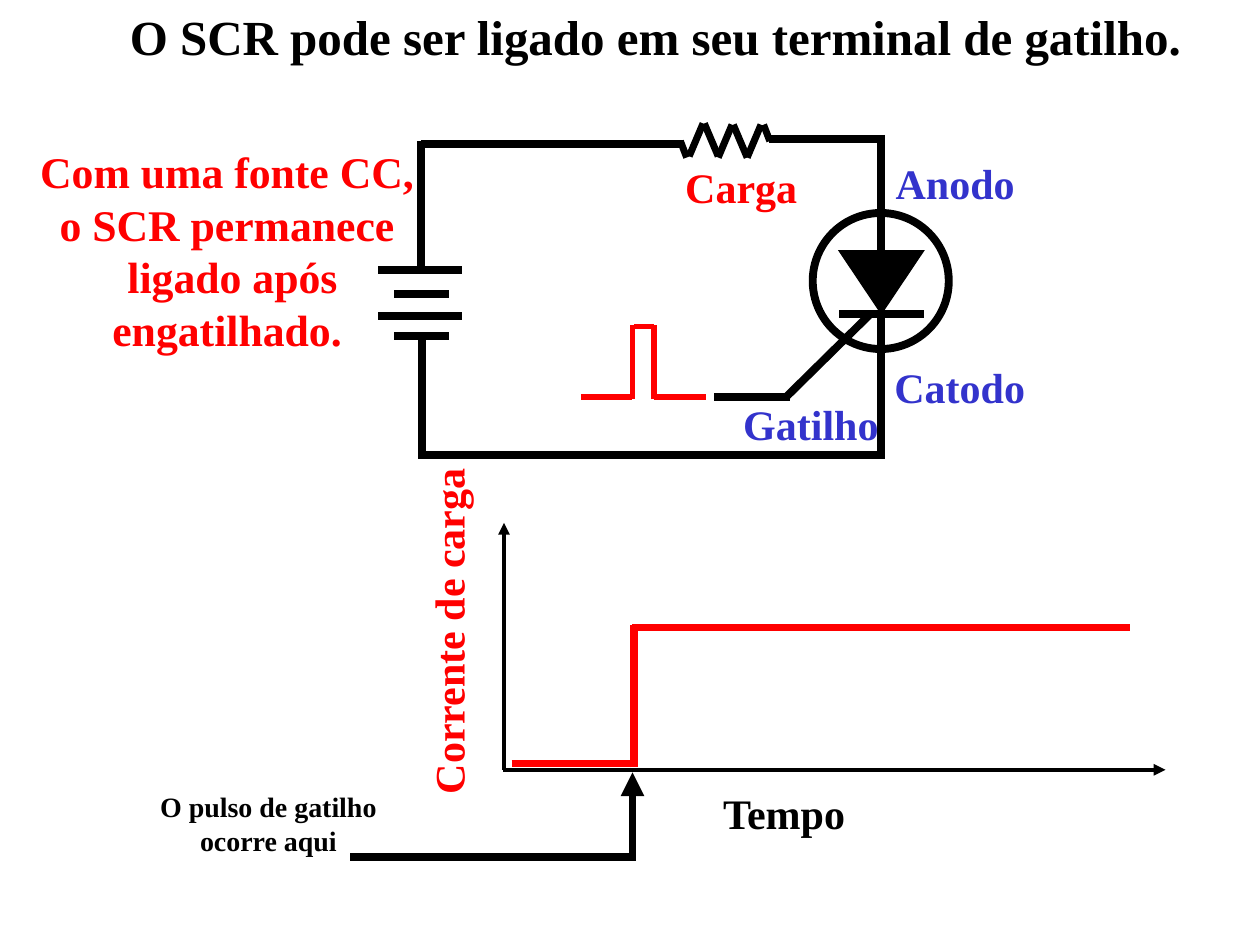
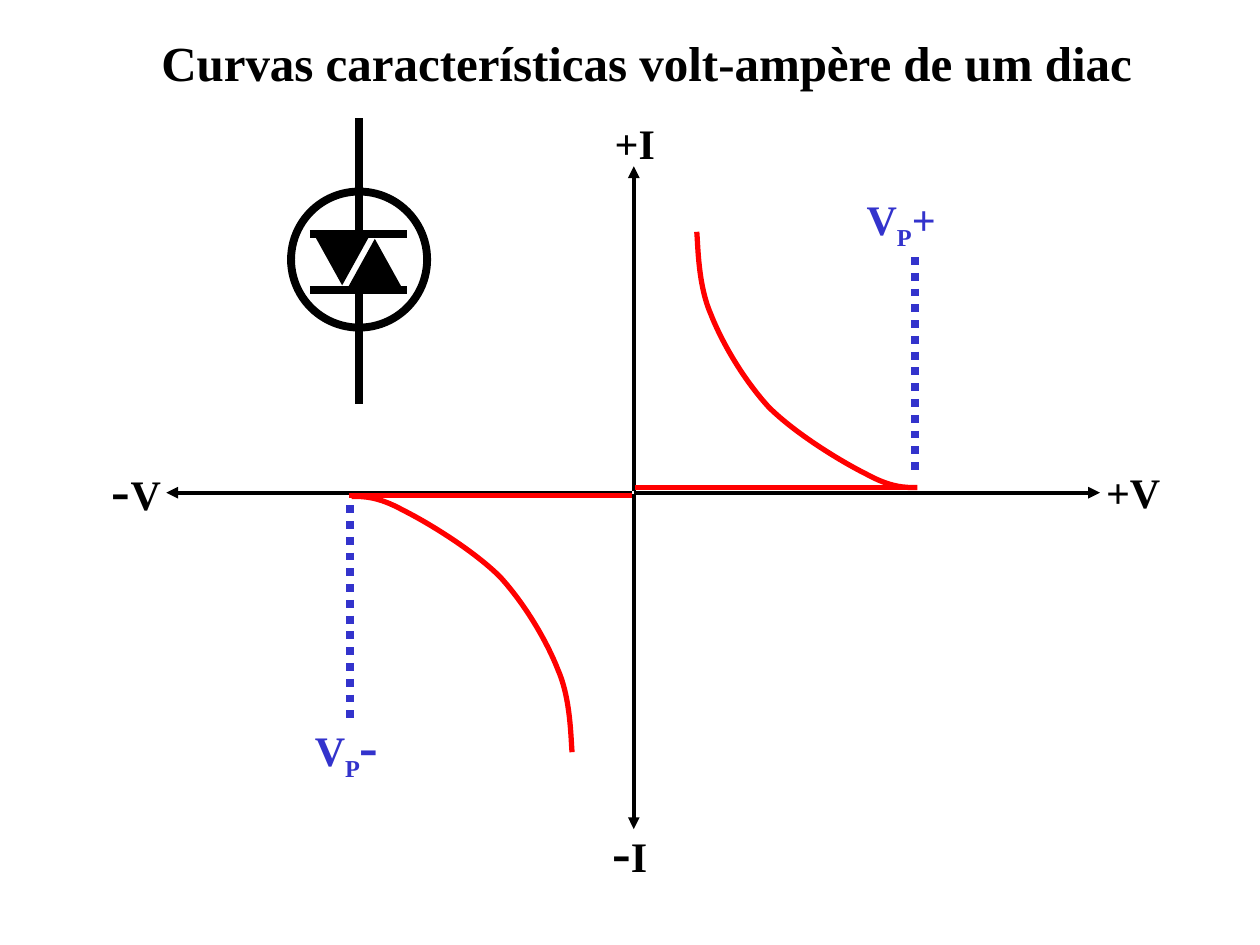
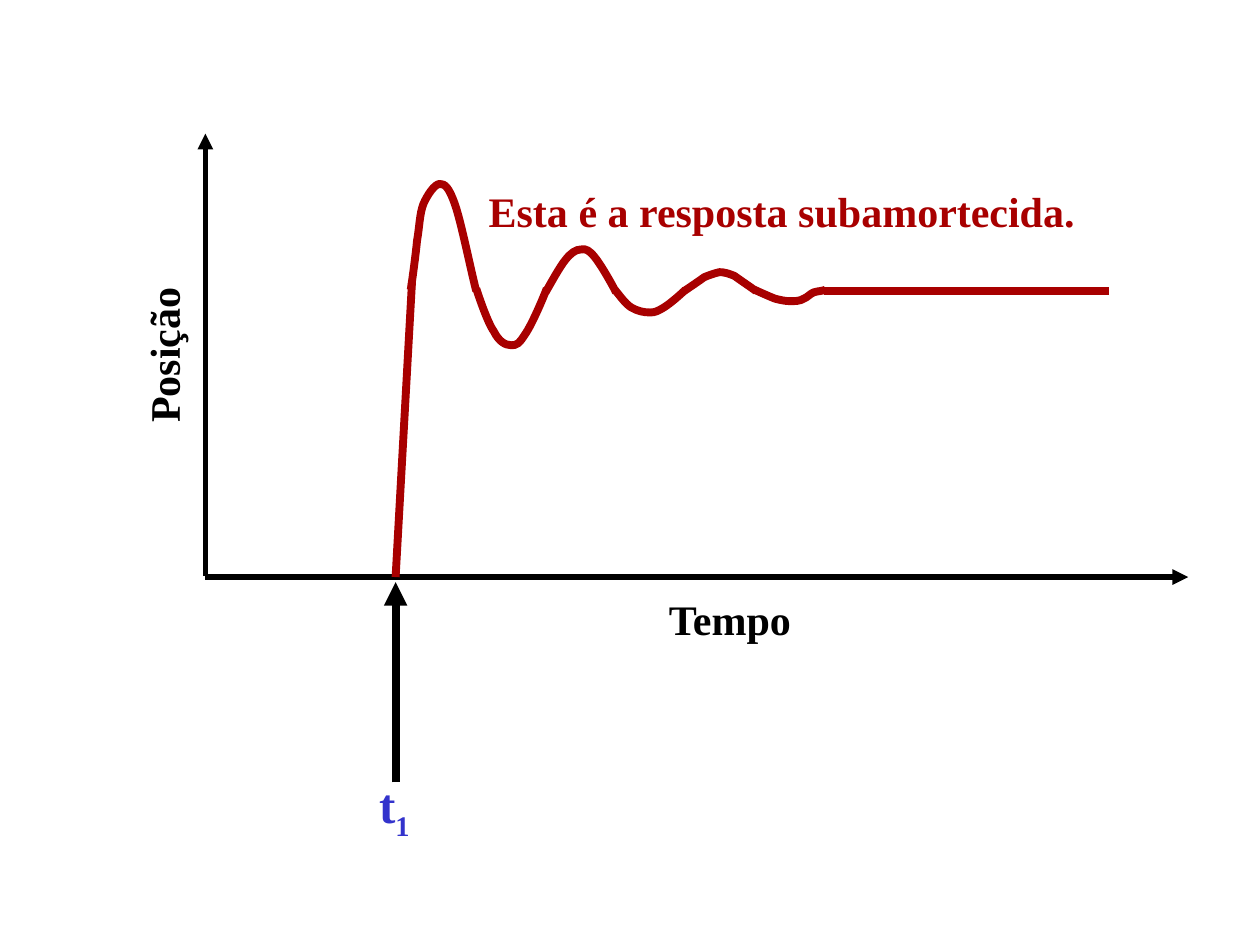
from lxml import etree
from pptx import Presentation
from pptx.dml.color import RGBColor
from pptx.enum.dml import MSO_LINE
from pptx.enum.shapes import MSO_CONNECTOR, MSO_SHAPE
from pptx.enum.text import MSO_ANCHOR, MSO_AUTO_SIZE, PP_ALIGN
from pptx.oxml.ns import qn
from pptx.util import Pt

PX = 9144  # one px is a hundredth of an inch
FONT = "Times New Roman"
BLACK, RED, BLUE, WINE = "000000", "FF0000", "3333CC", "A80000"
TITLE_SIZE, LABEL_SIZE, MINUS_SIZE = 28, 24, 32
THIN, MEDIUM, THICK = 2.25, 3, 4.5
TITLE_ONLY, BLANK = 5, 6

# A label is (left, top, width, height), paragraphs, colour, then options.
# A paragraph is a string or a list of (text, changes) runs.
# A stroke group is colour, weight, style, then (x1, y1, x2, y2) lines.
SUB = {"baseline": -25000}
MINUS = ("-", {"size": MINUS_SIZE})

SCR = {
    "title": ("O SCR pode ser ligado em seu terminal de gatilho.", (93, 0, 855, 57)),
    "shapes": [
        (MSO_SHAPE.ISOSCELES_TRIANGLE, (666, 199, 67, 50), BLACK, 0.75, 180),
        (MSO_SHAPE.OVAL, (645, 169, 108, 108), None, THICK, 0),
    ],
    "strokes": [
        # thyristor leads and gate
        (BLACK, THICK, "plain", [
            (666, 249, 733, 249), (699, 249, 699, 340), (699, 107, 699, 199),
            (691, 249, 624, 315), (627, 315, 567, 315)]),
        # circuit wires
        (BLACK, THICK, "plain", [
            (334, 212, 334, 112), (334, 114, 542, 114), (701, 110, 610, 110),
            (333, 361, 702, 361), (699, 338, 699, 364)]),
        # resistor
        (BLACK, 4, "plain", [
            (540, 112, 545, 125), (547, 124, 558, 98), (559, 98, 570, 124),
            (570, 125, 581, 99), (582, 99, 593, 125), (593, 125, 604, 99),
            (606, 99, 611, 112)]),
        # battery
        (BLACK, THICK, "plain", [
            (300, 214, 367, 214), (313, 233, 356, 233), (300, 251, 367, 251),
            (313, 267, 356, 267), (335, 364, 335, 264)]),
        # current axes
        (BLACK, THIN, "arrow", [(400, 611, 400, 415), (399, 611, 925, 611)]),
        # gate pulse
        (RED, MEDIUM, "plain", [
            (461, 315, 502, 315), (502, 317, 502, 258), (519, 317, 519, 258),
            (503, 259, 519, 259), (519, 315, 560, 315)]),
        # load current
        (RED, THICK, "plain", [
            (406, 606, 503, 606), (503, 609, 503, 496), (502, 498, 897, 498)]),
        # pulse pointer
        (BLACK, THICK, "arrow", [(502, 683, 502, 613)]),
        (BLACK, THICK, "plain", [(502, 680, 278, 680)]),
    ],
    "labels": [
        ((580, 311, 131, 50), ["Gatilho"], BLUE, {}),
        ((701, 120, 118, 50), ["Anodo"], BLUE, {}),
        ((700, 282, 127, 50), ["Catodo"], BLUE, {}),
        ((216, 476, 279, 50), ["Corrente de carga"], RED,
         {"rotation": 270, "align": PP_ALIGN.CENTER}),
        ((564, 620, 124, 50), ["Tempo"], BLACK, {}),
        ((117, 622, 192, 64), ["O pulso de gatilho", "ocorre aqui"], BLACK,
         {"size": 16, "align": PP_ALIGN.CENTER}),
        ((534, 123, 113, 50), ["Carga"], RED, {}),
        ((22, 110, 325, 219),
         ["Com uma fonte CC, ", "o SCR permanece ", "ligado após", "engatilhado. "],
         RED, {"size": 25, "align": PP_ALIGN.CENTER}),
    ],
}

FORWARD_CURVE = [
    (553, 184), (554, 195), (554, 226), (564, 249), (573, 272), (590, 301),
    (610, 323), (631, 344), (667, 366), (687, 376), (707, 387), (718, 387), (728, 387)]
# The reverse branch mirrors the forward one through the origin at (503.5, 390.5).
REVERSE_CURVE = [(1007 - x, 781 - y) for x, y in FORWARD_CURVE]

DIAC = {
    "title": ("Curvas características volt-ampère de um diac", (118, 21, 820, 57)),
    "shapes": [
        (MSO_SHAPE.OVAL, (231, 152, 108, 108), None, THICK, 0),
        (MSO_SHAPE.ISOSCELES_TRIANGLE, (282, 196, 31, 28), BLACK, THICK, 0),
        (MSO_SHAPE.ISOSCELES_TRIANGLE, (256, 192, 31, 28), BLACK, THICK, 180),
    ],
    "strokes": [
        # diac leads and bars
        (BLACK, THICK, "plain", [
            (285, 229, 285, 321), (285, 94, 285, 186),
            (246, 186, 323, 186), (246, 230, 323, 230)]),
        # axes
        (BLACK, THIN, "arrow", [
            (503, 391, 873, 391), (503, 390, 503, 132),
            (503, 392, 503, 658), (502, 391, 132, 391)]),
        # blocking region
        (RED, MEDIUM, "plain", [(504, 387, 728, 387), (277, 393, 502, 393)]),
        # breakover voltages
        (BLUE, THICK, "dots", [(278, 401, 278, 576), (726, 204, 726, 378)]),
    ],
    "curves": [(RED, MEDIUM, FORWARD_CURVE), (RED, MEDIUM, REVERSE_CURVE)],
    "labels": [
        ((478, 88, 56, 50), ["+I"], BLACK, {}),
        ((476, 643, 52, 64), [[MINUS, ("I", {})]], BLACK, {}),
        ((868, 365, 67, 50), ["+V"], BLACK, {}),
        ((79, 356, 63, 64), [[MINUS, ("V", {})]], BLACK, {}),
        ((678, 149, 79, 56), [[("V", {}), ("P", SUB), ("+", {})]], BLUE, {}),
        ((240, 559, 74, 67), [[("V", {}), ("P", SUB), MINUS]], BLUE, {}),
    ],
}

RESPONSE_CURVES = [
    [(326, 230), (327, 224), (330, 202), (331, 191), (333, 180), (333, 170), (336, 162),
     (339, 155), (345, 146), (349, 146), (353, 146), (356, 148), (361, 162),
     (366, 176), (374, 216), (378, 231)],
    [(378, 229), (380, 235), (387, 256), (392, 263), (396, 271), (401, 274), (406, 274),
     (410, 274), (412, 273), (417, 265), (422, 258), (431, 237), (434, 229)],
    [(433, 232), (436, 227), (444, 212), (449, 206), (453, 201), (457, 198), (461, 198),
     (465, 197), (468, 199), (472, 204), (477, 210), (486, 226), (489, 232)],
    [(488, 230), (490, 232), (496, 241), (501, 244), (506, 247), (511, 248), (516, 248),
     (520, 248), (522, 247), (527, 244), (532, 241), (541, 233), (544, 230)],
    [(543, 231), (546, 229), (555, 223), (559, 220), (564, 218), (567, 217), (571, 216),
     (575, 216), (578, 217), (583, 219), (587, 222), (596, 228), (600, 231)],
    [(599, 230), (601, 231), (610, 235), (615, 237), (619, 238), (623, 239), (627, 239),
     (631, 239), (635, 239), (638, 237), (641, 236), (643, 233), (646, 232),
     (649, 231), (653, 231), (655, 230)],
]

RESPONSE = {
    "strokes": [
        (BLACK, MEDIUM, "arrow", [(163, 458, 943, 458), (163, 457, 163, 106)]),
        (BLACK, THICK, "arrow", [(314, 621, 314, 462)]),
        (WINE, THICK, "plain", [(654, 231, 880, 231), (314, 458, 327, 224)]),
    ],
    "curves": [(WINE, THICK, points) for points in RESPONSE_CURVES],
    "labels": [
        ((64, 255, 131, 50), ["Posição"], BLACK, {"rotation": 270}),
        ((521, 466, 124, 50), ["Tempo"], BLACK, {}),
        ((291, 610, 48, 63), [[("t", {}), ("1", SUB)]], BLUE, {"size": 28}),
        ((378, 142, 489, 50), ["Esta é a resposta subamortecida."], WINE, {}),
    ],
}


def emu(lengths):
    return [round(length * PX) for length in lengths]


def rgb(colour):
    return RGBColor.from_string(colour)


def set_line(shape, colour, weight):
    shape.line.color.rgb = rgb(colour)
    shape.line.width = Pt(weight)


def write_text(shape, paragraphs, colour, size=LABEL_SIZE, align=PP_ALIGN.LEFT, rotation=0):
    shape.rotation = rotation
    frame = shape.text_frame
    frame.word_wrap = False
    frame.auto_size = MSO_AUTO_SIZE.SHAPE_TO_FIT_TEXT
    frame.vertical_anchor = MSO_ANCHOR.TOP
    for index, runs in enumerate(paragraphs):
        para = frame.add_paragraph() if index else frame.paragraphs[0]
        para.alignment = align
        font = para.font
        font.name, font.size, font.bold = FONT, Pt(size), True
        font.color.rgb = rgb(colour)
        for text, changes in [(runs, {})] if isinstance(runs, str) else runs:
            span = para.add_run()
            span.text = text
            if "size" in changes:
                span.font.size = Pt(changes["size"])
            if "baseline" in changes:
                span.font.bold = True
                properties = shape.element.findall(".//" + qn("a:rPr"))[-1]
                properties.set("baseline", str(changes["baseline"]))


def add_title(page, text, place):
    title = page.shapes.title
    title.left, title.top, title.width, title.height = emu(place)
    write_text(title, [text], BLACK, TITLE_SIZE)


def add_symbol(page, kind, place, fill, weight, rotation):
    symbol = page.shapes.add_shape(kind, *emu(place))
    symbol.shadow.inherit = False
    symbol.rotation = rotation
    if fill:
        symbol.fill.solid()
        symbol.fill.fore_color.rgb = rgb(fill)
    else:
        symbol.fill.background()
    set_line(symbol, BLACK, weight)
    etree.SubElement(symbol.element.find(".//" + qn("a:ln")), qn("a:miter"), lim="800000")


def add_stroke(page, ends, colour, weight, style):
    stroke = page.shapes.add_connector(MSO_CONNECTOR.STRAIGHT, *emu(ends))
    set_line(stroke, colour, weight)
    if style == "dots":
        stroke.line.dash_style = MSO_LINE.ROUND_DOT
    properties = stroke.element.find(qn("p:spPr"))
    if style == "arrow":
        etree.SubElement(properties.find(qn("a:ln")), qn("a:tailEnd"), type="triangle")
    etree.SubElement(properties, qn("a:effectLst"))


def add_curve(page, colour, weight, points):
    """Draw a start point followed by triples of Bézier control points."""
    start, *controls = [emu(point) for point in points]
    builder = page.shapes.build_freeform(*start)
    builder.add_line_segments(controls, close=False)
    curve = builder.convert_to_shape()
    curve.shadow.inherit = False
    curve.fill.background()
    set_line(curve, colour, weight)
    outline = curve.element.find(".//" + qn("a:path"))
    segments = outline.findall(qn("a:lnTo"))
    for first in range(0, len(segments), 3):
        bezier = etree.SubElement(outline, qn("a:cubicBezTo"))
        for segment in segments[first:first + 3]:
            bezier.append(segment[0])
            outline.remove(segment)


def add_page(deck, content):
    layout = TITLE_ONLY if "title" in content else BLANK
    page = deck.slides.add_slide(deck.slide_layouts[layout])
    if "title" in content:
        add_title(page, *content["title"])
    for symbol in content.get("shapes", []):
        add_symbol(page, *symbol)
    for colour, weight, style, lines in content["strokes"]:
        for ends in lines:
            add_stroke(page, ends, colour, weight, style)
    for curve in content.get("curves", []):
        add_curve(page, *curve)
    for place, paragraphs, colour, options in content["labels"]:
        box = page.shapes.add_textbox(*emu(place))
        write_text(box, paragraphs, colour, **options)


def main():
    deck = Presentation()
    deck.slide_width, deck.slide_height = emu((1000, 750))
    for content in (SCR, DIAC, RESPONSE):
        add_page(deck, content)
    deck.save("out.pptx")


if __name__ == "__main__":
    main()
